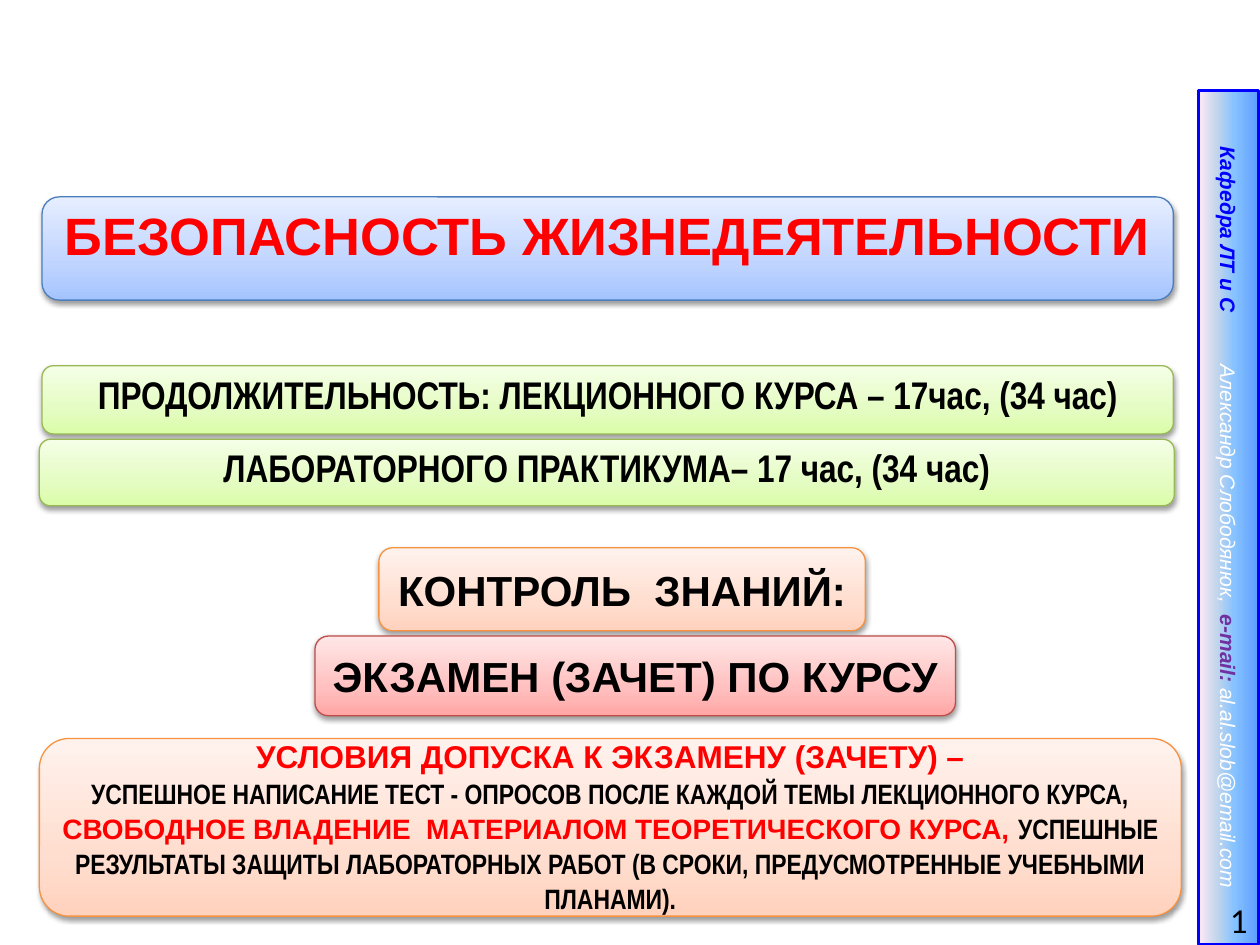
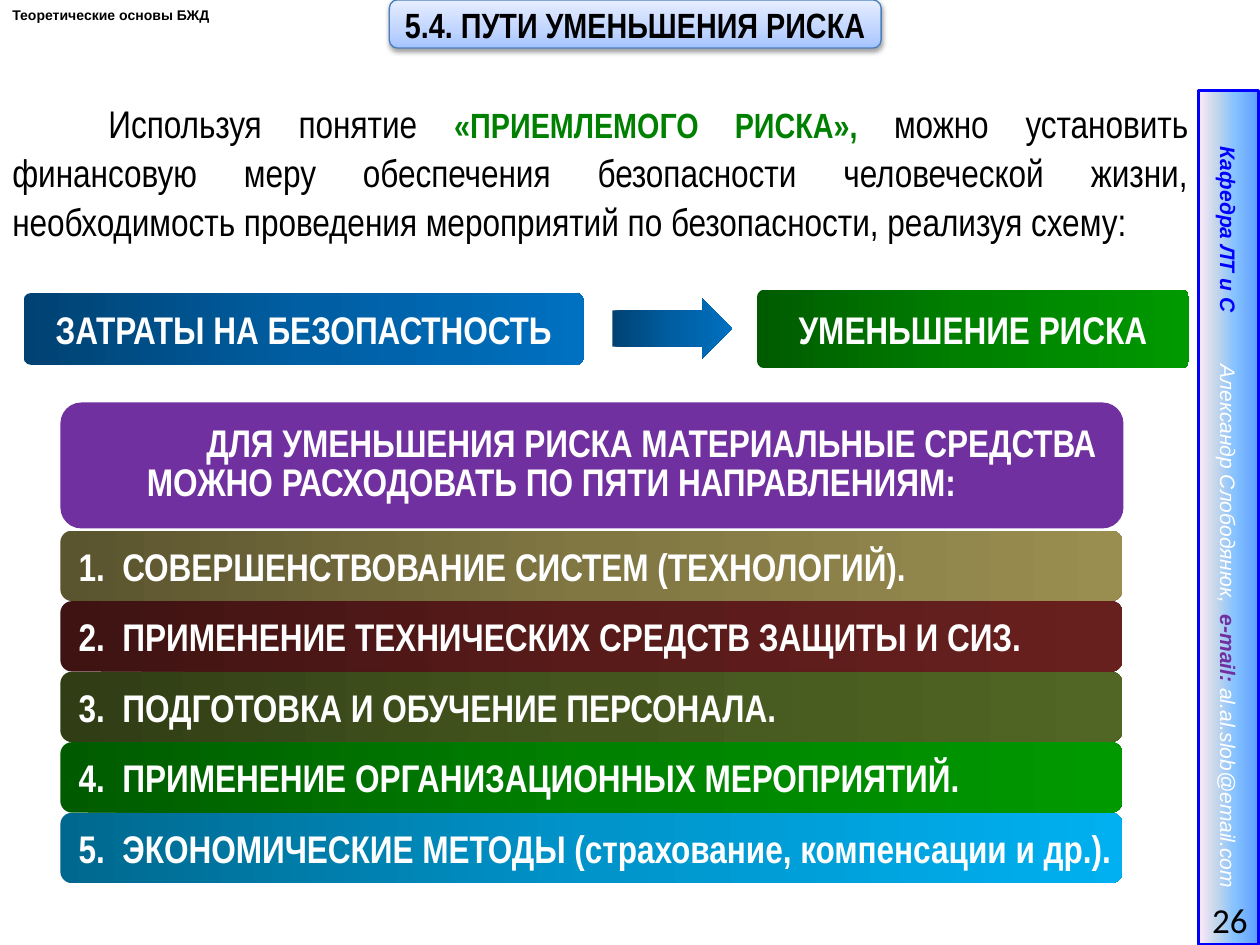
from lxml import etree
from pptx import Presentation
from pptx.dml.color import RGBColor
from pptx.enum.shapes import MSO_SHAPE
from pptx.enum.text import MSO_ANCHOR, MSO_AUTO_SIZE, PP_ALIGN
from pptx.oxml import parse_xml
from pptx.oxml.ns import qn
from pptx.util import Pt

ROUND, RECT, ARROW = MSO_SHAPE.ROUNDED_RECTANGLE, MSO_SHAPE.RECTANGLE, MSO_SHAPE.RIGHT_ARROW
LEFT, MID, RIGHT, FULL = PP_ALIGN.LEFT, PP_ALIGN.CENTER, PP_ALIGN.RIGHT, PP_ALIGN.JUSTIFY
CENTER, FIXED = MSO_ANCHOR.MIDDLE, MSO_AUTO_SIZE.NONE
SANS, SLIM, PAGE = "Arial", "Arial Narrow", "Calibri"

HUES = {"black": "000000", "white": "FFFFFF", "red": "FF0000", "blue": "0000FF",
        "violet": "7030A0", "green": "008000"}

# Gradient stops by position in percent
SOFT = {
    "sky": {0: "A4C4FF", 35: "BFD4FF", 100: "E6EEFF"},
    "lime": {0: "DAFDA7", 35: "E4FCC2", 100: "F5FFE7"},
    "peach": {0: "FFD2BD", 35: "FFDED0", 100: "FFF2ED"},
    "rose": {0: "FFA6A5", 35: "FFC0BF", 100: "FFE7E7"},
}
EDGES = {"sky": "4B7EBC", "lime": "98B955", "peach": "F69240", "rose": "BF4C48"}
DEEP = {
    "navy": {0: "004272", 50: "005EA2", 100: "0070C0"},
    "leaf": {0: "005B00", 50: "008100", 100: "009900"},
    "sand": {0: "5A542F", 50: "817743", 100: "998D4F"},
    "wine": {0: "3E1312", 50: "581B1A", 100: "68201E"},
    "moss": {0: "303D15", 50: "44561E", 100: "516624"},
    "aqua": {0: "00688E", 50: "0094CA", 100: "00B0F0"},
}
BAND = {0: "5E9EFF", 40: "85C2FF", 70: "C4D6EB", 100: "FFEBFA"}
SHADE = ('<a:effectLst xmlns:a="http://schemas.openxmlformats.org/drawingml/2006/main">'
         '<a:outerShdw blurRad="39400" dist="20300" dir="5400000" rotWithShape="0">'
         '<a:srgbClr val="000000"><a:alpha val="38000"/></a:srgbClr>'
         '</a:outerShdw></a:effectLst>')


def box(slide, kind, at, stops, angle=0, edge=None, width=0.75, raised=False):
    """Add a shape with a gradient fill; angle runs counter-clockwise."""
    shape = slide.shapes.add_shape(kind, *map(Pt, at))
    shape.fill.gradient()
    shape.fill.gradient_angle = angle
    grad = shape.element.spPr.find(".//" + qn("a:gsLst"))
    for stop in list(grad):
        grad.remove(stop)
    for pos, hue in stops.items():
        stop = etree.SubElement(grad, qn("a:gs"), pos=str(pos * 1000))
        etree.SubElement(stop, qn("a:srgbClr"), val=hue)
    if edge:
        shape.line.color.rgb = RGBColor.from_string(edge)
        shape.line.width = Pt(width)
    else:
        shape.line.fill.background()
    if raised:
        shape.element.spPr.append(parse_xml(SHADE))
    else:
        shape.shadow.inherit = False
    return shape


def write(shape, text, size, font=SLIM, hue="black", bold=True, align=MID,
          gap=None, pad=(0, 0, 0, 0)):
    """Set the first paragraph and the frame; pad is left, top, right, bottom."""
    frame = shape.text_frame
    frame.word_wrap = True
    frame.auto_size = FIXED
    frame.margin_left, frame.margin_top, frame.margin_right, frame.margin_bottom = map(Pt, pad)
    para = frame.paragraphs[0]
    para.text = text
    para.alignment = align
    if gap:
        para.line_spacing = Pt(gap)
    para.font.size, para.font.name, para.font.bold = Pt(size), font, bold
    para.font.color.rgb = RGBColor.from_string(HUES[hue])
    return para


deck = Presentation()
deck.slide_width, deck.slide_height = Pt(720), Pt(540)

# Title, side band and page number on both slides
heads = [
    ("БЕЗОПАСНОСТЬ ЖИЗНЕДЕЯТЕЛЬНОСТИ", (24, 112.5, 646.5, 59), 30, SANS, "red", 20, "1"),
    ("5.4. ПУТИ УМЕНЬШЕНИЯ РИСКА", (222.5, 0, 281, 27.5), 20, SLIM, "black", 24, "26"),
]
slides = []
for text, at, size, font, hue, gap, page in heads:
    slide = deck.slides.add_slide(deck.slide_layouts[5])
    slides.append(slide)
    plate = box(slide, ROUND, at, SOFT["sky"], 90, EDGES["sky"], raised=True)
    title = slide.shapes.title
    title.left, title.top, title.width, title.height = map(Pt, at)
    write(title, text, size, font, hue, gap=gap, pad=(3, 3, 3, 3))
    title.text_frame.vertical_anchor = CENTER
    plate.element.addnext(title.element)

    band = box(slide, RECT, (458, 278.5, 488, 34.5), BAND, 270, HUES["blue"], 2)
    band.rotation = 90
    para = write(band, "", 12, SANS, pad=(7, 3.5, 7, 3.5))
    para.font.italic = True
    for part, tint, bold in [("Кафедра ЛТ и С", "blue", True), (" ", "blue", True),
                             ("Александр Слободянюк,  ", "white", False),
                             ("e-mail: ", "violet", True),
                             ("al.al.slob@email.com", "white", False)]:
        run = para.add_run()
        run.text, run.font.bold = part, bold
        run.font.color.rgb = RGBColor.from_string(HUES[tint])
        if part == " ":
            run.font.element.set("spc", "2670") if hasattr(run.font, "element") else \
                run._r.get_or_add_rPr().set("spc", "2670")

    label = slide.shapes.add_textbox(Pt(664), Pt(511), Pt(56), Pt(29))
    write(label, page, 20, PAGE, bold=False, align=RIGHT, pad=(7, 3.5, 7, 3.5))
    label.text_frame.vertical_anchor = CENTER

course, risk = slides

# Course facts
facts = [
    ("ПРОДОЛЖИТЕЛЬНОСТЬ: ЛЕКЦИОННОГО КУРСА – 17час, (34 час)",
     (24, 209, 646.5, 39), "lime", 22, SLIM, 20),
    ("ЛАБОРАТОРНОГО ПРАКТИКУМА– 17 час, (34 час)",
     (22.5, 251, 648.5, 38), "lime", 22, SLIM, 20),
    ("КОНТРОЛЬ  ЗНАНИЙ:", (216.5, 313, 278, 47.5), "peach", 24, SANS, None),
    ("ЭКЗАМЕН (ЗАЧЕТ) ПО КУРСУ", (180, 363.5, 366, 45.5), "rose", 24, SANS, None),
    ("УСЛОВИЯ ДОПУСКА К ЭКЗАМЕНУ (ЗАЧЕТУ) –",
     (22.5, 422, 652.5, 101.5), "peach", 18, SANS, 20),
]
for text, at, tone, size, font, gap in facts:
    terms = box(course, ROUND, at, SOFT[tone], 90, EDGES[tone], raised=True)
    write(terms, text, size, font, gap=gap)

frame = terms.text_frame
frame.paragraphs[0].font.color.rgb = RGBColor.from_string(HUES["red"])
para = frame.add_paragraph()
para.alignment, para.line_spacing = MID, Pt(20)
para.font.size, para.font.bold = Pt(16), True
for text, font, hue in [
    ("УСПЕШНОЕ НАПИСАНИЕ ТЕСТ - ОПРОСОВ ПОСЛЕ КАЖДОЙ ТЕМЫ ЛЕКЦИОННОГО КУРСА, ", SLIM, "black"),
    ("СВОБОДНОЕ ВЛАДЕНИЕ  МАТЕРИАЛОМ ТЕОРЕТИЧЕСКОГО КУРСА, ", SANS, "red"),
    ("УСПЕШНЫЕ РЕЗУЛЬТАТЫ ЗАЩИТЫ ЛАБОРАТОРНЫХ РАБОТ (В СРОКИ, ПРЕДУСМОТРЕННЫЕ "
     "УЧЕБНЫМИ ПЛАНАМИ).", SLIM, "black"),
]:
    run = para.add_run()
    run.text, run.font.name = text, font
    run.font.color.rgb = RGBColor.from_string(HUES[hue])

# Risk: topic and lead text
topic = risk.shapes.add_textbox(0, 0, Pt(129), Pt(17.5))
write(topic, "Теоретические основы БЖД", 8, SANS, align=LEFT, pad=(7, 3.5, 7, 3.5))

lead = risk.shapes.add_textbox(0, Pt(52), Pt(686), Pt(92))
para = write(lead, "", 22, bold=False, align=FULL, gap=28, pad=(7, 3.5, 7, 3.5))
para._p.get_or_add_pPr().set("indent", str(Pt(55)))
for text, key in [
    ("Используя понятие ", False),
    ("«ПРИЕМЛЕМОГО РИСКА», ", True),
    ("можно установить финансовую меру обеспечения безопасности человеческой жизни, "
     "необходимость проведения мероприятий по безопасности, реализуя схему:", False),
]:
    run = para.add_run()
    run.text = text
    if key:
        run.font.size, run.font.bold = Pt(20), True
        run.font.color.rgb = RGBColor.from_string(HUES["green"])

# Scheme: cost leads to less risk
for text, at, tone in [("ЗАТРАТЫ НА БЕЗОПАСТНОСТЬ", (13.5, 167.5, 320, 41), "navy"),
                       ("УМЕНЬШЕНИЕ РИСКА", (432.5, 165.5, 247, 45), "leaf")]:
    step = box(risk, ROUND, at, DEEP[tone])
    step.adjustments[0] = 0.1
    write(step, text, 22, hue="white")
arrow = box(risk, ARROW, (350, 170.5, 68.5, 34.5), DEEP["navy"])
arrow.adjustments[0], arrow.adjustments[1] = 0.6, 0.5

# Five ways to spend
intro = box(risk, ROUND, (34.5, 230, 607.5, 72), {})
intro.fill.solid()
intro.fill.fore_color.rgb = RGBColor.from_string(HUES["violet"])
para = write(intro, "ДЛЯ УМЕНЬШЕНИЯ РИСКА МАТЕРИАЛЬНЫЕ СРЕДСТВА МОЖНО РАСХОДОВАТЬ "
             "ПО ПЯТИ НАПРАВЛЕНИЯМ:", 22, hue="white", align=LEFT, gap=22, pad=(46, 0, 0, 0))
para._p.get_or_add_pPr().set("indent", str(Pt(34)))

ways = [
    ("1.  СОВЕРШЕНСТВОВАНИЕ СИСТЕМ (ТЕХНОЛОГИЙ).", "sand"),
    ("2.  ПРИМЕНЕНИЕ ТЕХНИЧЕСКИХ СРЕДСТВ ЗАЩИТЫ И СИЗ.", "wine"),
    ("3.  ПОДГОТОВКА И ОБУЧЕНИЕ ПЕРСОНАЛА.", "moss"),
    ("4.  ПРИМЕНЕНИЕ ОРГАНИЗАЦИОННЫХ МЕРОПРИЯТИЙ.", "leaf"),
    ("5.  ЭКОНОМИЧЕСКИЕ МЕТОДЫ (страхование, компенсации и др.).", "aqua"),
]
for row, (text, tone) in enumerate(ways):
    way = box(risk, ROUND, (34.5, 303.2 + row * 40.3, 607, 40.3), DEEP[tone])
    write(way, text, 22, hue="white", align=LEFT, pad=(8.5, 0, 0, 0))

deck.save("out.pptx")
